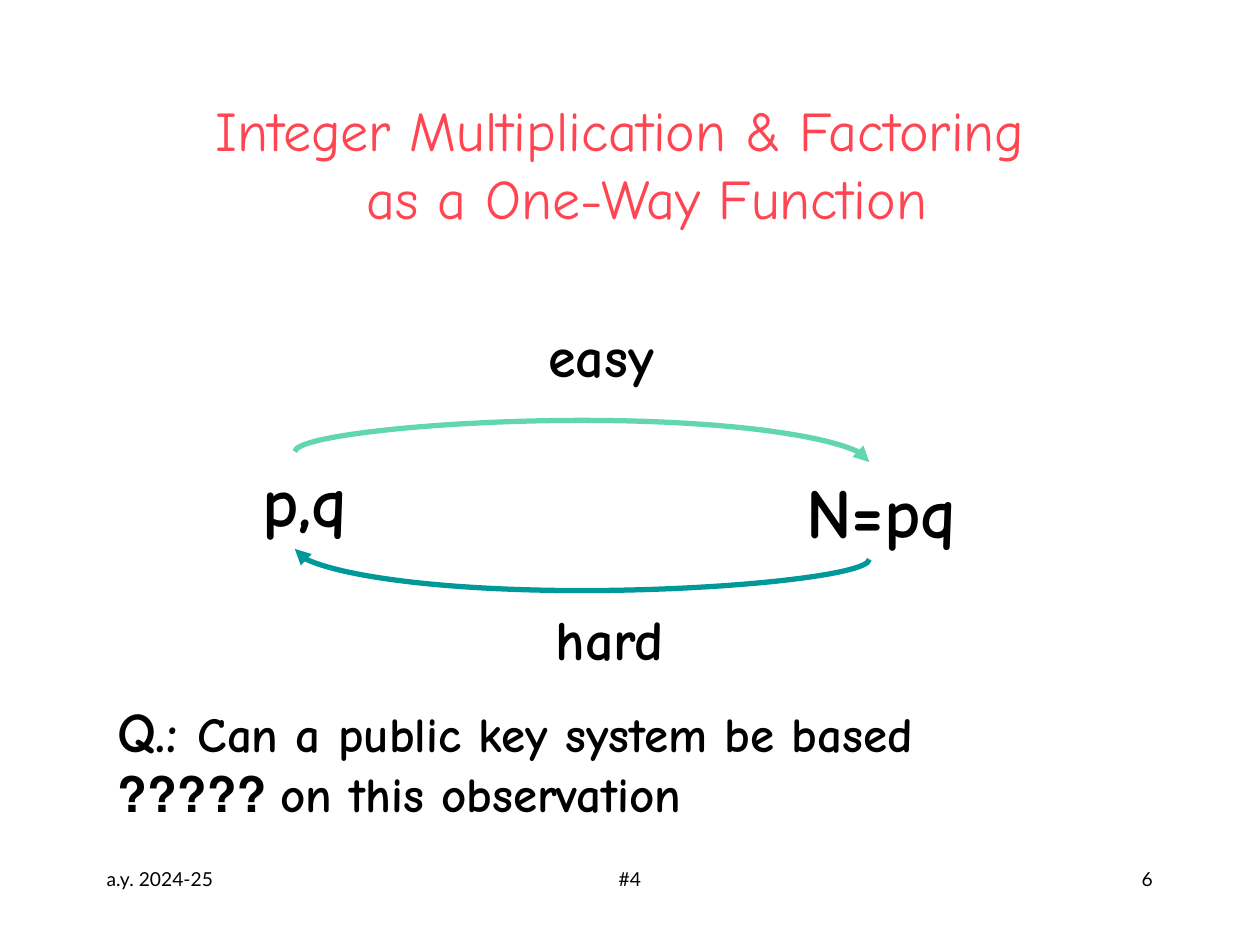
from pptx import Presentation
from pptx.dml.color import RGBColor
from pptx.enum.shapes import MSO_CONNECTOR as Connector
from pptx.enum.text import MSO_ANCHOR as Anchor, MSO_AUTO_SIZE as AutoSize, PP_ALIGN as Align
from pptx.oxml.ns import qn
from pptx.util import Cm, Pt
from lxml.etree import SubElement

COLORS = {"title": "FF4551", "text": "000000", "easy": "62D6AC", "hard": "009999"}

deck = Presentation()
deck.slide_width, deck.slide_height = Cm(25.4), Cm(19.05)
page = deck.slides.add_slide(deck.slide_layouts[6])


def add_text(lines, left, top, width, height, font="Comic Neue", color="text",
             bold=False, align=None, anchor=Anchor.TOP, rtl=False, hanging=0):
    """Each line is a list of (text, size) spans; rtl boxes grow with their text."""
    box = page.shapes.add_textbox(Cm(left), Cm(top), Cm(width), Cm(height))
    frame = box.text_frame
    frame.word_wrap = not rtl
    frame.auto_size = AutoSize.SHAPE_TO_FIT_TEXT if rtl else AutoSize.NONE
    frame.vertical_anchor = anchor
    for index, spans in enumerate(lines):
        para = frame.add_paragraph() if index else frame.paragraphs[0]
        para.alignment = align
        properties = para._p.get_or_add_pPr()
        if rtl:
            properties.set("rtl", "1")
        if hanging:
            properties.set("marL", str(Cm(hanging)))
            properties.set("indent", str(-Cm(hanging)))
        for number, (text, size) in enumerate(spans):
            for part, piece in enumerate(text.split("\v")):
                if part:
                    para.add_line_break()
                span = para.add_run()
                span.text = piece
                span.font.name = font
                span.font.size = Pt(size)
                span.font.bold = bold
                span.font.color.rgb = RGBColor.from_string(COLORS[color])
    return box


# Title
add_text([[("Integer Multiplication & Factoring \vas a One-Way Function", 32)]],
         1.9, 1.7, 21.6, 3.18, color="title", align=Align.CENTER,
         anchor=Anchor.MIDDLE, hanging=0.7)

# Footer
for text, left, width, align in [
    ("a.y. 2024-25", 1.9, 5.29, Align.LEFT),
    ("#4", 8.68, 8.04, Align.CENTER),
    ("6", 18.2, 5.29, Align.RIGHT),
]:
    add_text([[(text, 11)]], left, 17.35, width, 1.27, font="Lato", align=align)

# Values and labels of the diagram
for text, size, left, top, width, height in [
    ("p,q", 40, 4.62, 9.1, 2.64, 1.96),
    ("N=pq", 40, 15.49, 9.32, 4.04, 1.96),
    ("hard", 32, 10.62, 12.07, 3.02, 1.63),
    ("easy", 32, 10.46, 6.35, 2.97, 1.63),
]:
    add_text([[(text, size)]], left, top, width, height,
             bold=True, align=Align.RIGHT, rtl=True)

# Curved arrows: upright connectors turned on their side, bulging outwards
for color, top, degrees in [("easy", 3.42, 270), ("hard", 5.38, 90)]:
    arrow = page.shapes.add_connector(
        Connector.CURVE, Cm(11.84), Cm(top), Cm(11.63), Cm(top + 11.58))
    arrow.line.color.rgb = RGBColor.from_string(COLORS[color])
    arrow.line.width = Pt(3)
    properties = arrow._element.spPr
    properties.find(qn("a:xfrm")).set("rot", str(degrees * 60000))
    guides = properties.find(qn("a:prstGeom")).find(qn("a:avLst"))
    SubElement(guides, qn("a:gd"), name="adj1", fmla="val -300000")
    SubElement(properties.find(qn("a:ln")), qn("a:tailEnd"), type="triangle")
    SubElement(properties, qn("a:effectLst"))

# Question
add_text([[("Q.: ", 32), ("Can a public key system be based", 28)],
          [("on this observation ?????", 28)]],
         2.11, 13.92, 19.43, 2.82, bold=True, rtl=True)

deck.save("out.pptx")
